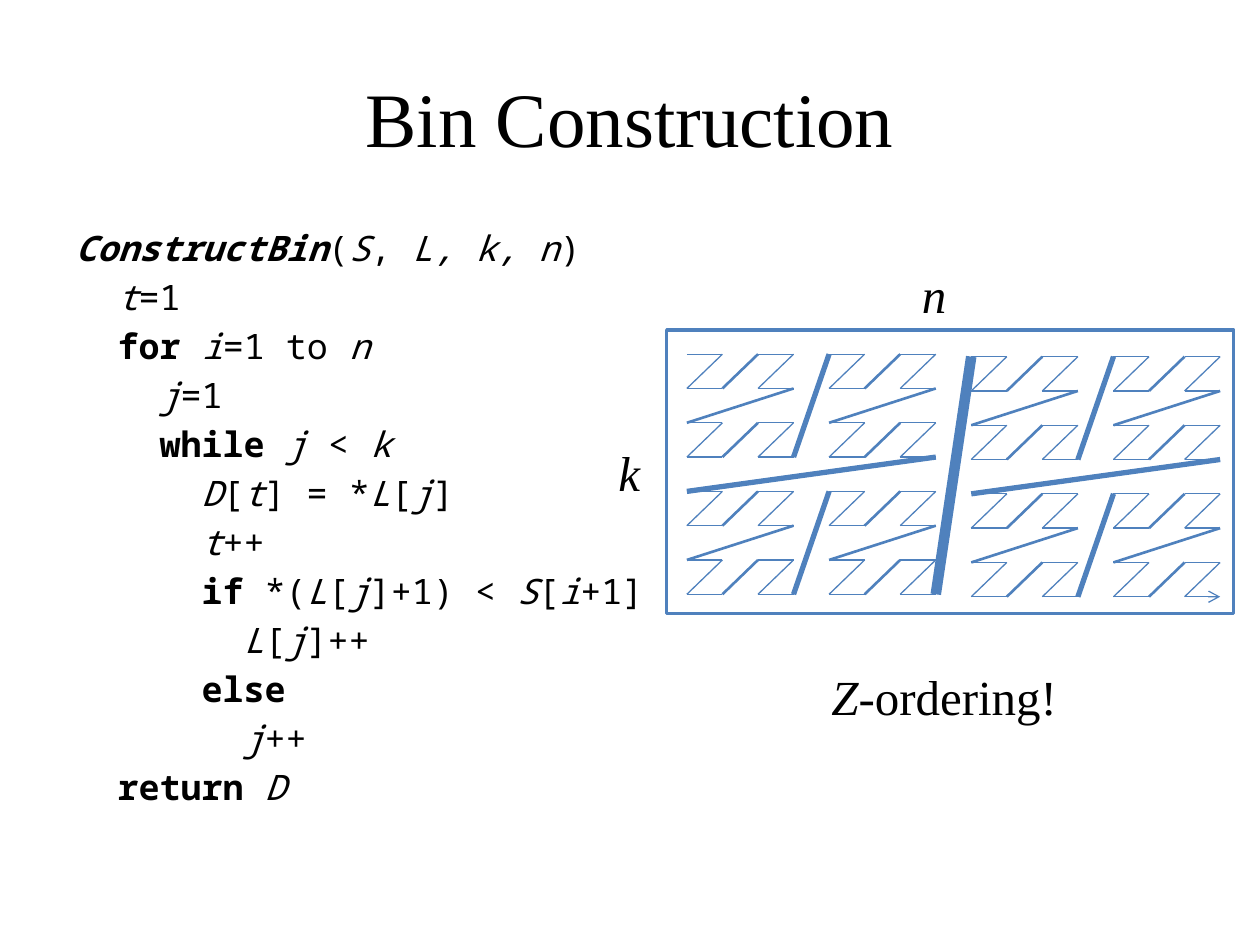
from pptx import Presentation
from pptx.dml.color import RGBColor
from pptx.enum.shapes import MSO_CONNECTOR, MSO_SHAPE
from pptx.enum.text import MSO_AUTO_SIZE
from pptx.oxml.ns import qn
from pptx.util import Pt
from lxml.etree import SubElement

INK, BLUE = "000000", "4F81BD"
SERIF, MONO = "Times New Roman", "Noto Sans Mono"


def color(hex_code):
    """Turn a hex string into a colour."""
    return RGBColor.from_string(hex_code)


class ZOrderSlide:
    """Hold the style and the slide, and add each kind of element."""

    def __init__(self, deck):
        """Start a slide with a title and a body."""
        self.slide = deck.slides.add_slide(deck.slide_layouts[1])
        self.shapes = self.slide.shapes

    def place(self, holder, left, top, width, height):
        """Move a placeholder."""
        holder.left, holder.top = Pt(left), Pt(top)
        holder.width, holder.height = Pt(width), Pt(height)

    def add_runs(self, paragraph, marked, size, font, bold=False):
        """Add runs; underscores switch italics on and off."""
        for index, words in enumerate(marked.split("_")):
            if words:
                run = paragraph.add_run()
                run.text = words
                run.font.name, run.font.size = font, Pt(size)
                run.font.bold, run.font.italic = bold, index % 2 == 1
                run.font.color.rgb = color(INK)

    def title(self, words, *box):
        """Fill the title."""
        heading = self.shapes.title
        self.place(heading, *box)
        self.add_runs(heading.text_frame.paragraphs[0], words, 44, SERIF)

    def code(self, listing, *box):
        """Fill the body with code lines given as depth, keyword and rest."""
        body = self.slide.placeholders[1]
        self.place(body, *box)
        for number, (depth, keyword, rest) in enumerate(listing):
            frame = body.text_frame
            line = frame.add_paragraph() if number else frame.paragraphs[0]
            props = line._p.get_or_add_pPr()
            props.set("marL", str(Pt(24 * depth)))
            props.set("indent", "0")
            SubElement(props, qn("a:buNone"))
            self.add_runs(line, keyword, 20, MONO, True)
            self.add_runs(line, rest, 20, MONO)

    def label(self, words, left, top, width, height, wrap=False):
        """Add a serif label."""
        box = self.shapes.add_textbox(Pt(left), Pt(top), Pt(width), Pt(height))
        box.text_frame.word_wrap = wrap
        box.text_frame.auto_size = MSO_AUTO_SIZE.SHAPE_TO_FIT_TEXT
        self.add_runs(box.text_frame.paragraphs[0], words, 28, SERIF)

    def frame(self, left, top, width, height):
        """Add an outlined rectangle."""
        outline = self.shapes.add_shape(
            MSO_SHAPE.RECTANGLE, Pt(left), Pt(top), Pt(width), Pt(height))
        outline.shadow.inherit = False
        outline.fill.background()
        outline.line.color.rgb = color(BLUE)
        outline.line.width = Pt(2)

    def stroke(self, shapes, start, end, weight, arrow=False):
        """Add a straight line between two points."""
        link = shapes.add_connector(
            MSO_CONNECTOR.STRAIGHT, *(Pt(v) for v in (*start, *end)))
        link.line.color.rgb = color(BLUE)
        link.line.width = Pt(weight)
        if arrow:
            SubElement(link.line._get_or_add_ln(), qn("a:tailEnd"), type="arrow")
        SubElement(link._element.spPr, qn("a:effectLst"))

    def z_curve(self, left, top, arrow=False):
        """Draw an 8 by 8 Z-order curve and return its two ends."""
        cells = []
        for order in range(64):
            column = sum((order >> 2 * bit & 1) << bit for bit in range(3))
            row = sum((order >> 2 * bit + 1 & 1) << bit for bit in range(3))
            cells.append((left + 20.32 * column, top + 19.6 * row))
        group = self.shapes.add_group_shape()
        for step in range(1, 64):
            weight = 3 if step % 16 == 0 else 1.5 if step % 4 == 0 else 0.75
            self.stroke(group.shapes, cells[step - 1], cells[step], weight,
                        arrow and step == 63)
        return cells[0], cells[-1]


LISTING = [
    (0, "_ConstructBin_", "(_S_, _L, k, n_)"),
    (1, "", "_t_=1"),
    (1, "for ", "_i_=1 to _n_"),
    (2, "", "_j_=1"),
    (2, "while ", "_j_ < _k_"),
    (3, "", "_D_[_t_] = *_L_[_j_]"),
    (3, "", "_t_++"),
    (3, "if", " *(_L_[_j_]+1) < _S_[_i_+1]"),
    (4, "", "_L_[_j_]++"),
    (3, "else", ""),
    (4, "", "_j_++"),
    (1, "return ", "_D_"),
]

deck = Presentation()
deck.slide_width, deck.slide_height = Pt(720), Pt(540)
page = ZOrderSlide(deck)
page.title("Bin Construction", 36, 21.6, 648, 90)
page.code(LISTING, 36, 126, 350.6, 356.4)
page.frame(381, 188.6, 324, 162)
page.label("_n_", 519.8, 147.6, 36, 41)
page.label("_k_", 346.3, 249.1, 34.6, 41)
page.label("_Z_-ordering!", 468, 377.3, 157, 41, wrap=True)
right_start, right_end = page.z_curve(555, 203.8, arrow=True)
left_start, left_end = page.z_curve(392.5, 202.4)
page.stroke(page.shapes, left_end, right_start, 6)
deck.save("out.pptx")
